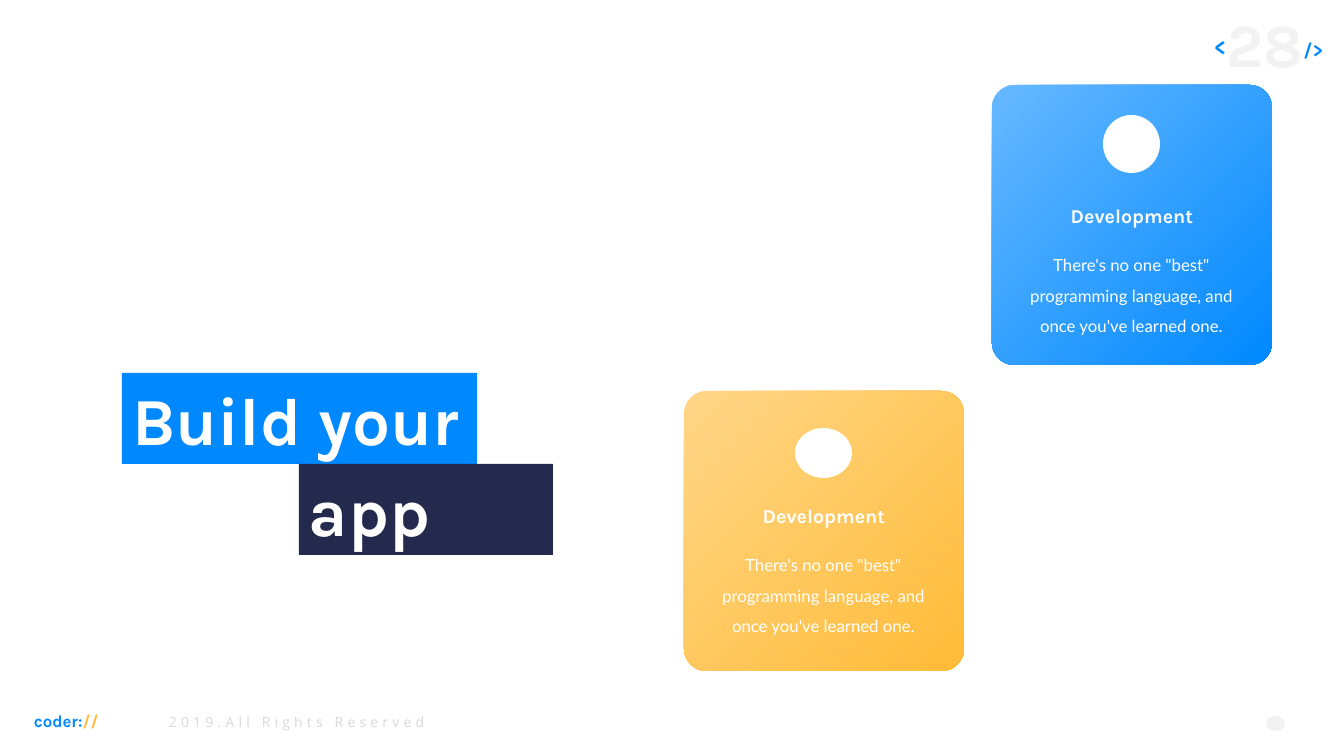
from lxml import etree
from pptx import Presentation
from pptx.dml.color import RGBColor
from pptx.enum.shapes import MSO_SHAPE as Preset
from pptx.enum.text import MSO_ANCHOR as Anchor, MSO_AUTO_SIZE as AutoSize, PP_ALIGN as Align
from pptx.oxml import parse_xml
from pptx.oxml.ns import nsdecls, qn
from pptx.util import Emu, Pt

BLUE = RGBColor(0x00, 0x88, 0xFF)
LIGHT_BLUE = RGBColor(0x66, 0xB8, 0xFF)
ORANGE = RGBColor(0xFF, 0xBB, 0x37)
LIGHT_ORANGE = RGBColor(0xFF, 0xD6, 0x87)
NAVY = RGBColor(0x23, 0x2A, 0x4E)
WHITE = RGBColor(0xFF, 0xFF, 0xFF)
PALE_GREY = RGBColor(0xF2, 0xF2, 0xF2)
GREY = RGBColor(0xD9, 0xD9, 0xD9)

# Lengths in px; runs are (text, size, colour, raised percent)
EMU_PER_PX = 914400 / 100.8
SLIDE_SIZE = (1344, 756)

PAGE_NUMBER_BOX = (1076, 0, 257, 85)
PAGE_NUMBER = [("<", 28, BLUE, 30), ("28", 44, PALE_GREY, 0), ("/>", 24, BLUE, 30)]
COPYRIGHT_BOX = (159, 709, 278, 27)
COPYRIGHT = [("2019.All Rights Reserved", 10, GREY, 0)]
BRAND_BOX = (24, 706, 86, 30)
BRAND = [("coder:", 12, BLUE, 0), ("//", 12, ORANGE, 0)]
FOOTER_ICON_BOX = (1266, 716, 19, 15)

TITLE_BOX = (122, 373, 355, 91)
TITLE = "Build your"
SUBTITLE_BOX = (299, 464, 254, 91)
SUBTITLE = "app"

CARD_SIZE = 280
HEADING_SIZE = (158, 37)
BODY_SIZE = (255, 98)
BODY_DROP = 48
HEADING = "Development"
BODY = "There's no one \"best\" programming language, and once you've learned one."
CARDS = [
    {"left": 684, "top": 391, "colours": (ORANGE, LIGHT_ORANGE),
     "icon_top": 428, "icon_size": (57, 50), "heading_top": 492},
    {"left": 992, "top": 85, "colours": (BLUE, LIGHT_BLUE),
     "icon_top": 115, "icon_size": (57, 58), "heading_top": 192},
]


def px(*lengths):
    return [Emu(round(length * EMU_PER_PX)) for length in lengths]


def write(shape, runs, font="Karla", bold=True, align=Align.LEFT, anchor=Anchor.TOP,
          line_spacing=1.0, wrap=True, tracking=0):
    """Fill a shape with one paragraph; tracking is in hundredths of a point."""
    frame = shape.text_frame
    frame.word_wrap = wrap
    frame.auto_size = AutoSize.NONE
    frame.vertical_anchor = anchor
    paragraph = frame.paragraphs[0]
    paragraph.alignment = align
    paragraph.line_spacing = line_spacing
    for text, size, colour, raised in runs:
        run = paragraph.add_run()
        run.text = text
        run.font.name = font
        run.font.size = Pt(size)
        run.font.bold = bold
        run.font.color.rgb = colour
        properties = run.font._element
        if raised:
            properties.set("baseline", str(raised * 1000))
        if tracking:
            properties.set("spc", str(tracking))


def add_text(slide, box, runs, **text_format):
    write(slide.shapes.add_textbox(*px(*box)), runs, **text_format)


def add_plain_shape(slide, preset, box, colour):
    shape = slide.shapes.add_shape(preset, *px(*box))
    shape.shadow.inherit = False
    shape.fill.solid()
    shape.fill.fore_color.rgb = colour
    shape.line.fill.background()
    return shape


def fill_from_corner(shape, inner, outer):
    """Replace the solid fill by a circular gradient centred bottom right."""
    gradient = parse_xml(f'<a:gradFill {nsdecls("a")} rotWithShape="1"/>')
    stops = etree.SubElement(gradient, qn("a:gsLst"))
    for position, colour in ((0, inner), (99000, outer)):
        stop = etree.SubElement(stops, qn("a:gs"), pos=str(position))
        etree.SubElement(stop, qn("a:srgbClr"), val=str(colour))
    circle = etree.SubElement(gradient, qn("a:path"), path="circle")
    etree.SubElement(circle, qn("a:fillToRect"), l="100000", t="100000")
    solid = shape._element.spPr.find(qn("a:solidFill"))
    solid.getparent().replace(solid, gradient)


def add_card(slide, card):
    left, top = card["left"], card["top"]

    def centred(box_top, size):
        return (left + (CARD_SIZE - size[0]) // 2, box_top, *size)

    panel = add_plain_shape(slide, Preset.ROUNDED_RECTANGLE,
                            (left, top, CARD_SIZE, CARD_SIZE), card["colours"][0])
    panel.adjustments[0] = 0.08
    fill_from_corner(panel, *card["colours"])
    add_plain_shape(slide, Preset.OVAL, centred(card["icon_top"], card["icon_size"]), WHITE)
    add_text(slide, centred(card["heading_top"], HEADING_SIZE), [(HEADING, 14, WHITE, 0)],
             align=Align.CENTER, line_spacing=1.3)
    add_text(slide, centred(card["heading_top"] + BODY_DROP, BODY_SIZE), [(BODY, 12, WHITE, 0)],
             font="Lato", bold=False, align=Align.CENTER, line_spacing=1.5)


def add_title(slide):
    title = slide.shapes.title
    title.left, title.top, title.width, title.height = px(*TITLE_BOX)
    title.fill.solid()
    title.fill.fore_color.rgb = BLUE
    write(title, [(TITLE, 48, WHITE, 0)])
    subtitle = add_plain_shape(slide, Preset.RECTANGLE, SUBTITLE_BOX, NAVY)
    write(subtitle, [(SUBTITLE, 48, WHITE, 0)])


def main():
    presentation = Presentation()
    presentation.slide_width, presentation.slide_height = px(*SLIDE_SIZE)
    slide = presentation.slides.add_slide(presentation.slide_layouts[5])
    add_text(slide, PAGE_NUMBER_BOX, PAGE_NUMBER, align=Align.RIGHT, anchor=Anchor.MIDDLE)
    add_text(slide, COPYRIGHT_BOX, COPYRIGHT, font="Open Sans", bold=False,
             wrap=False, tracking=300)
    add_text(slide, BRAND_BOX, BRAND, wrap=False)
    add_plain_shape(slide, Preset.OVAL, FOOTER_ICON_BOX, PALE_GREY)
    for card in CARDS:
        add_card(slide, card)
    add_title(slide)
    presentation.save("out.pptx")


if __name__ == "__main__":
    main()
